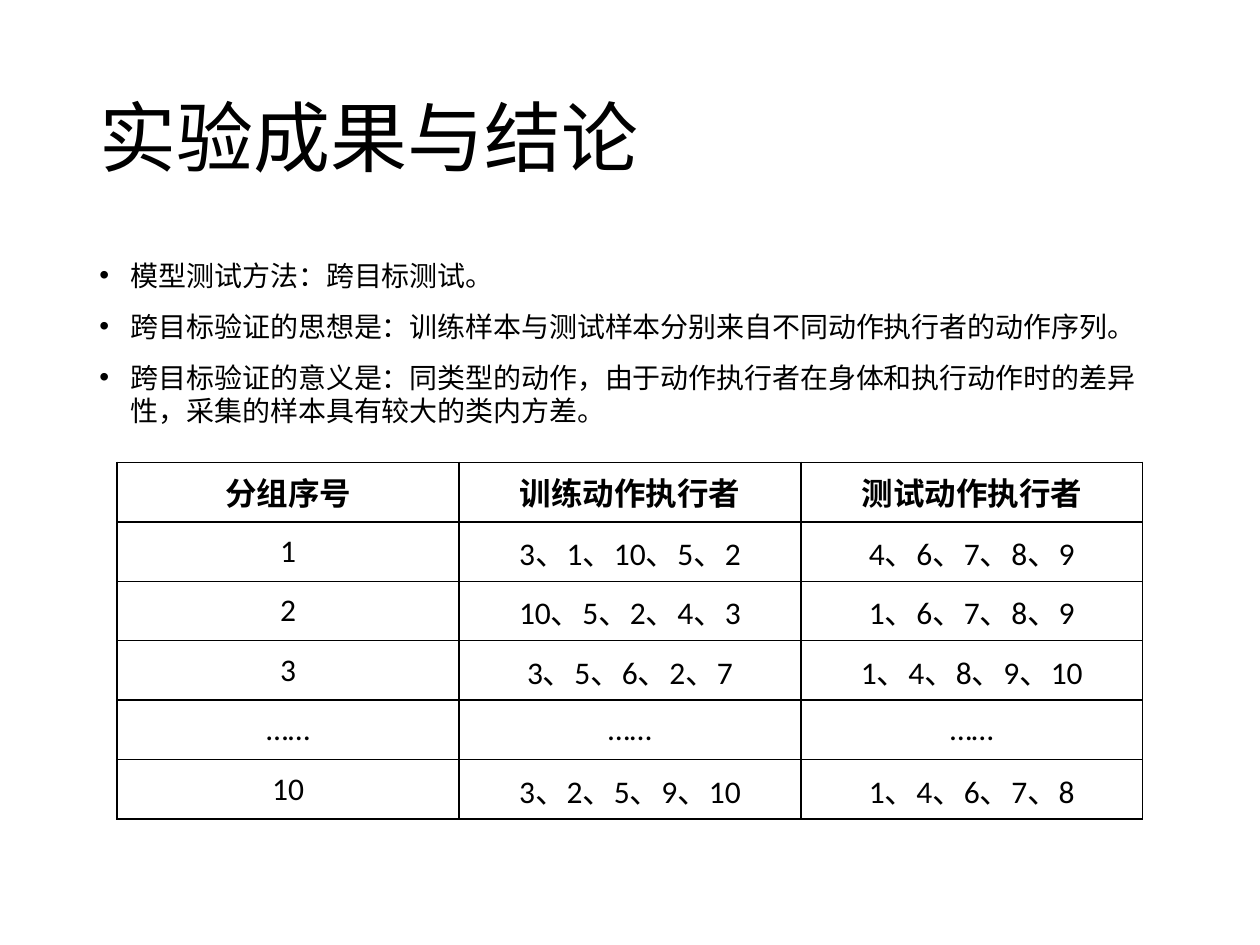
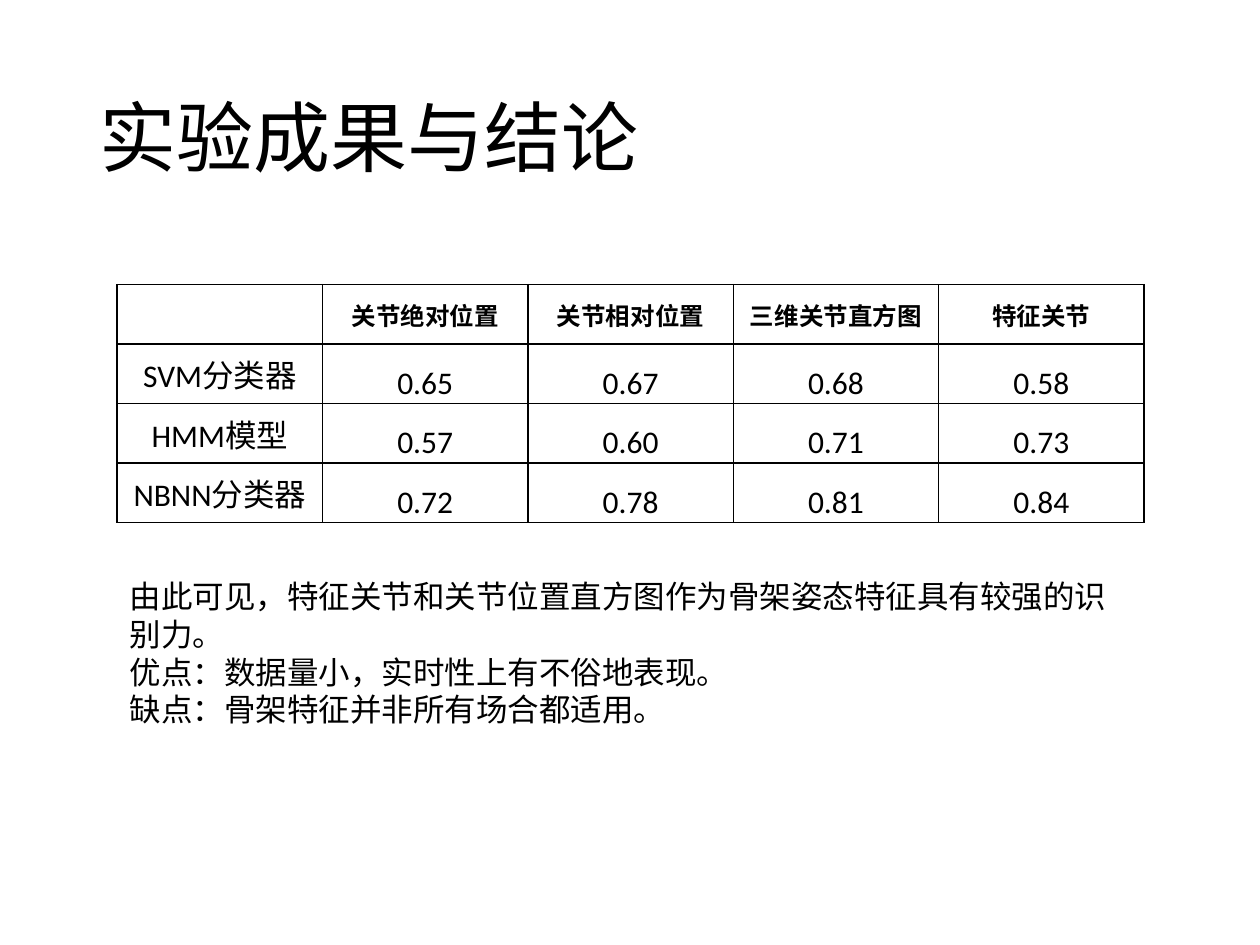
from lxml import etree
from pptx import Presentation
from pptx import util as u
from pptx.dml.color import RGBColor
from pptx.enum import text as t
from pptx.oxml.ns import qn


def color(code):
    return RGBColor.from_string(code)


class Deck:
    ink = "000000"
    paper = "FFFFFF"
    font = "Calibri"
    left = 0.93
    row = 0.472

    def __init__(self):
        self.prs = Presentation()
        self.prs.slide_width = u.Inches(10)
        self.prs.slide_height = u.Inches(7.5)

    def style(self, para, size, bold=False, font=None):
        for run in para.runs:
            run.font.size = u.Pt(size)
            run.font.bold = bold
            run.font.name = font or self.font
            run.font.color.rgb = color(self.ink)

    def page(self, title):
        self.slide = self.prs.slides.add_slide(self.prs.slide_layouts[5])
        fill = self.slide.background.fill
        fill.solid()
        fill.fore_color.rgb = color(self.paper)
        head = self.slide.shapes.title
        head.left, head.top = u.Inches(0.69), u.Inches(0.4)
        head.width, head.height = u.Inches(8.62), u.Inches(1.45)
        frame = head.text_frame
        frame.text = title
        frame.auto_size = t.MSO_AUTO_SIZE.NONE
        frame.vertical_anchor = t.MSO_ANCHOR.MIDDLE
        para = frame.paragraphs[0]
        para.alignment = t.PP_ALIGN.LEFT
        para.line_spacing = 0.9
        self.style(para, 44)

    def box(self, lines, left, top, width, height, size):
        place = map(u.Inches, (left, top, width, height))
        frame = self.slide.shapes.add_textbox(*place).text_frame
        frame.word_wrap = True
        frame.text = "\n".join(lines)
        for para in frame.paragraphs:
            self.style(para, size)
        return frame

    def bullets(self, lines, *place, size):
        for para in self.box(lines, *place, size).paragraphs:
            para.space_before = u.Pt(10)
            props = para._p.get_or_add_pPr()
            props.set("marL", str(u.Inches(0.25)))
            props.set("indent", str(-u.Inches(0.25)))
            etree.SubElement(props, qn("a:buFont"), typeface="Arial")
            etree.SubElement(props, qn("a:buChar"), char="•")

    def border(self, cell):
        props = cell._tc.get_or_add_tcPr()
        for side in "LRTB":
            line = etree.SubElement(props, qn(f"a:ln{side}"), w=str(u.Pt(1)))
            fill = etree.SubElement(line, qn("a:solidFill"))
            etree.SubElement(fill, qn("a:srgbClr"), val=self.ink)

    def cell(self, cell, words, size, bold, tall):
        self.border(cell)
        cell.fill.solid()
        cell.fill.fore_color.rgb = color(self.paper)
        cell.vertical_anchor = t.MSO_ANCHOR.MIDDLE
        side, edge = (0.06, 0) if tall else (0.07, 0.04)
        cell.margin_left = cell.margin_right = u.Inches(side)
        cell.margin_top = cell.margin_bottom = u.Inches(edge)
        cell.text = words
        para = cell.text_frame.paragraphs[0]
        para.alignment = t.PP_ALIGN.CENTER
        if tall:
            para.line_spacing = 1.5
        self.style(para, size, bold)

    def table(self, rows, top, width, head=18, tall=False):
        count = len(rows[0])
        grid = self.slide.shapes.add_table(
            len(rows), count, u.Inches(self.left), u.Inches(top),
            u.Inches(width), u.Inches(self.row * len(rows))).table
        grid.first_row = grid.horz_banding = False
        for col in grid.columns:
            col.width = u.Inches(width / count)
        for r, words in enumerate(rows):
            grid.rows[r].height = u.Inches(self.row)
            for c, word in enumerate(words):
                self.cell(grid.cell(r, c), word, 18 if r else head,
                          r == 0, tall and r > 0 and c > 0)


TITLE = "实验成果与结论"
METHOD = [
    "模型测试方法：跨目标测试。",
    "跨目标验证的思想是：训练样本与测试样本分别来自不同动作执行者的动作序列。",
    "跨目标验证的意义是：同类型的动作，由于动作执行者在身体和执行动作时的差异性，采集的样本具有较大的类内方差。",
]
GROUPS = [
    ("分组序号", "训练动作执行者", "测试动作执行者"),
    ("1", "3、1、10、5、2", "4、6、7、8、9"),
    ("2", "10、5、2、4、3", "1、6、7、8、9"),
    ("3", "3、5、6、2、7", "1、4、8、9、10"),
    ("……", "……", "……"),
    ("10", "3、2、5、9、10", "1、4、6、7、8"),
]
SCORES = [
    ("", "关节绝对位置", "关节相对位置", "三维关节直方图", "特征关节"),
    ("SVM分类器", "0.65", "0.67", "0.68", "0.58"),
    ("HMM模型", "0.57", "0.60", "0.71", "0.73"),
    ("NBNN分类器", "0.72", "0.78", "0.81", "0.84"),
]
RESULT = [
    "由此可见，特征关节和关节位置直方图作为骨架姿态特征具有较强的识别力。",
    "优点：数据量小，",
    "缺点：骨架特征并非所有场合都适用。",
]


def main():
    deck = Deck()
    deck.page(TITLE)
    deck.bullets(METHOD, 0.69, 2, 8.62, 4.76, size=16)
    deck.table(GROUPS, 3.67, 8.14)

    deck.page(TITLE)
    deck.table(SCORES, 2.26, 8.15, head=14, tall=True)
    frame = deck.box(RESULT, deck.left, 4.53, 8.15, 1.31, 18)
    frame.auto_size = t.MSO_AUTO_SIZE.SHAPE_TO_FIT_TEXT
    for para in frame.paragraphs:
        deck.style(para, 18, font="Arial")
    run = frame.paragraphs[1].add_run()
    run.text = "实时性上有不俗地表现。"
    run.font.size = u.Pt(18)
    run.font.name = deck.font
    run.font.color.rgb = color(deck.ink)
    deck.prs.save("out.pptx")


if __name__ == "__main__":
    main()
